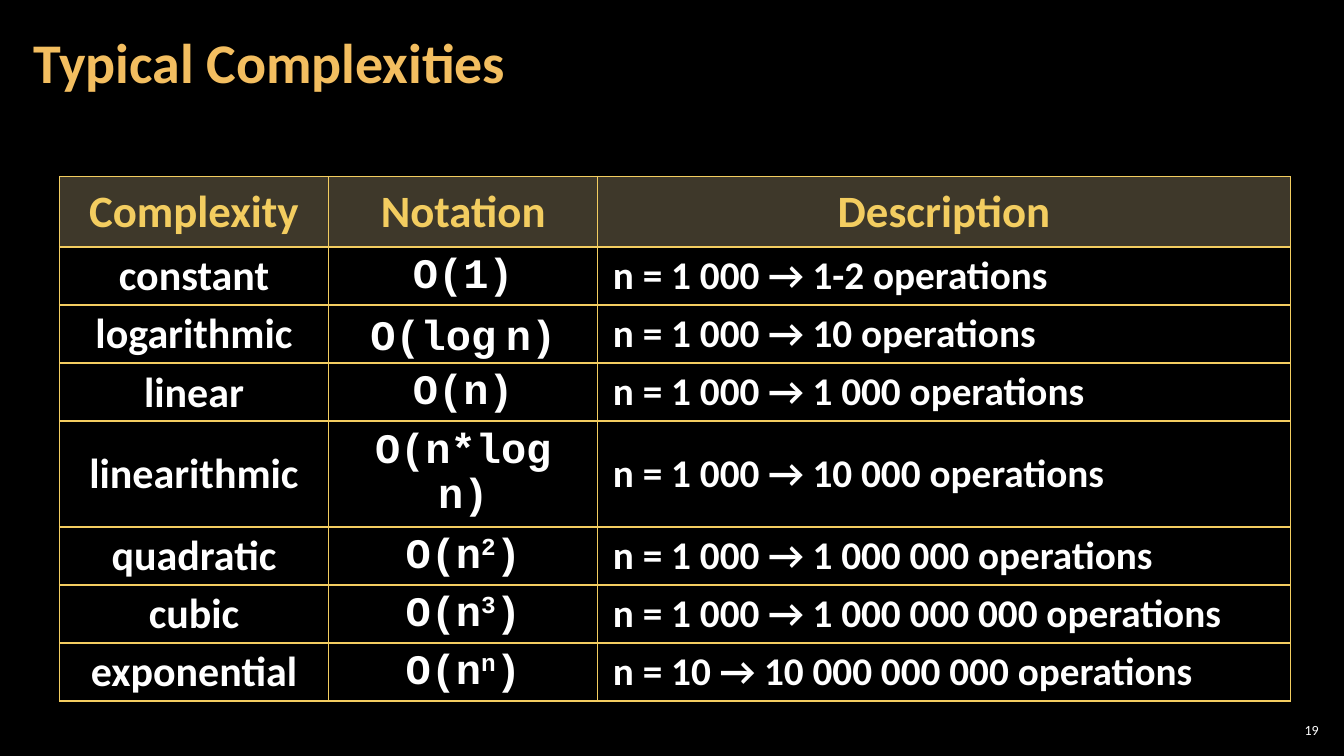
from lxml.etree import SubElement
from pptx import Presentation
from pptx.dml.color import RGBColor
from pptx.enum.text import MSO_ANCHOR as Anchor, PP_ALIGN as Align
from pptx.oxml import parse_xml
from pptx.oxml.ns import nsdecls, qn
from pptx.util import Inches, Pt

BLACK = RGBColor(0x00, 0x00, 0x00)
WHITE = RGBColor(0xFF, 0xFF, 0xFF)
GOLD = RGBColor(0xF3, 0xCD, 0x60)
ORANGE = RGBColor(0xF3, 0xBE, 0x60)
OLIVE = RGBColor(0x7C, 0x71, 0x54)
SANS, MONO = "Calibri", "Courier New"

COLUMNS = (2.67, 2.67, 6.87)
HEADER_HEIGHT, ROW_HEIGHT, TALL_ROW_HEIGHT = 0.7, 0.575, 1.05
HEADINGS = ("Complexity", "Notation", "Description")
COMPLEXITIES = (
    ("constant", ("O(1)",), "n = 1 000 → 1-2 operations"),
    ("logarithmic", ("O(log", " ", "n)"), "n = 1 000 → 10 operations"),
    ("linear", ("O(n)",), "n = 1 000 → 1 000 operations"),
    ("linearithmic", ("O(n*log n)",), "n = 1 000 → 10 000 operations"),
    ("quadratic", ("O(n", "2", ")"), "n = 1 000 → 1 000 000 operations"),
    ("cubic", ("O(n", "3", ")"), "n = 1 000 → 1 000 000 000 operations"),
    ("exponential", ("O(n", "n", ")"), "n = 10 → 10 000 000 000 operations"),
)


def write(paragraph, parts, size, color, font=SANS, bold=True, align=Align.LEFT, spacing=0.95):
    """Fill a paragraph with equally styled runs and return them."""
    paragraph.alignment = align
    paragraph.line_spacing = spacing
    runs = []
    for part in parts:
        run = paragraph.add_run()
        run.text = part
        run.font.name, run.font.size, run.font.bold = font, Pt(size), bold
        run.font.color.rgb = color
        runs.append(run)
    return runs


def add_label(slide, box, text, size, color, inset, **style):
    """Place one line of text, centred vertically, in the given box."""
    frame = slide.shapes.add_textbox(*map(Inches, box)).text_frame
    frame.word_wrap = True
    frame.vertical_anchor = Anchor.MIDDLE
    frame.margin_left = frame.margin_right = Inches(inset)
    frame.margin_top = frame.margin_bottom = Inches(0.04)
    write(frame.paragraphs[0], [text], size, color, **style)


def frame_cell(cell):
    """Give a cell its margins and gold borders, with no fill."""
    cell.margin_left = cell.margin_right = Inches(0.15)
    cell.margin_top = cell.margin_bottom = Inches(0.05)
    cell.vertical_anchor = Anchor.MIDDLE
    cell.fill.background()
    properties = cell._tc.get_or_add_tcPr()
    for position, side in enumerate("LRTB"):
        properties.insert(position, parse_xml(
            f'<a:ln{side} {nsdecls("a")} w="{Pt(1)}"><a:solidFill>'
            f'<a:srgbClr val="{GOLD}"/></a:solidFill></a:ln{side}>'))


def shade_header(cell):
    """Fill a header cell with half transparent olive."""
    cell.fill.solid()
    cell.fill.fore_color.rgb = OLIVE
    color = cell._tc.tcPr.find(qn("a:solidFill")).find(qn("a:srgbClr"))
    SubElement(color, qn("a:alpha")).set("val", "50000")


def write_notation(paragraph, parts):
    """Write a notation, raising its middle part or setting a narrow space."""
    runs = write(paragraph, parts, 30, WHITE, MONO, align=Align.CENTER)
    for run in runs[1:-1]:
        if run.text == " ":
            run.font.name = SANS
        else:
            run.font._element.set("baseline", "30000")


def add_complexity_table(slide, left, top):
    """Build the table of complexities from its top left corner."""
    heights = [HEADER_HEIGHT] + [
        TALL_ROW_HEIGHT if name == "linearithmic" else ROW_HEIGHT
        for name, _, _ in COMPLEXITIES]
    box = (left, top, sum(COLUMNS), sum(heights))
    table = slide.shapes.add_table(len(heights), len(COLUMNS), *map(Inches, box)).table
    for column, width in zip(table.columns, COLUMNS):
        column.width = Inches(width)
    for row, height in zip(table.rows, heights):
        row.height = Inches(height)
    for cell in table.iter_cells():
        frame_cell(cell)
    for cell, heading in zip(table.rows[0].cells, HEADINGS):
        shade_header(cell)
        write(cell.text_frame.paragraphs[0], [heading], 32, GOLD, align=Align.CENTER)
    for index, (name, notation, description) in enumerate(COMPLEXITIES, 1):
        first, second, third = (
            cell.text_frame.paragraphs[0] for cell in table.rows[index].cells)
        write(first, [name], 30, WHITE, align=Align.CENTER)
        write_notation(second, notation)
        write(third, [description], 28, WHITE)


def main():
    """Build and save the slide."""
    deck = Presentation()
    deck.slide_width, deck.slide_height = Inches(13.33), Inches(7.5)
    slide = deck.slides.add_slide(deck.slide_layouts[6])
    slide.background.fill.solid()
    slide.background.fill.fore_color.rgb = BLACK
    add_label(slide, (12.65, 7.14, 0.47, 0.21), "19", 10, WHITE, 0.04,
              bold=False, align=Align.RIGHT, spacing=1.0)
    add_complexity_table(slide, 0.59, 1.75)
    add_label(slide, (0.21, 0.04, 10.47, 1.21), "Typical Complexities", 40, ORANGE, 0.12,
              spacing=0.9)
    deck.save("out.pptx")


if __name__ == "__main__":
    main()
